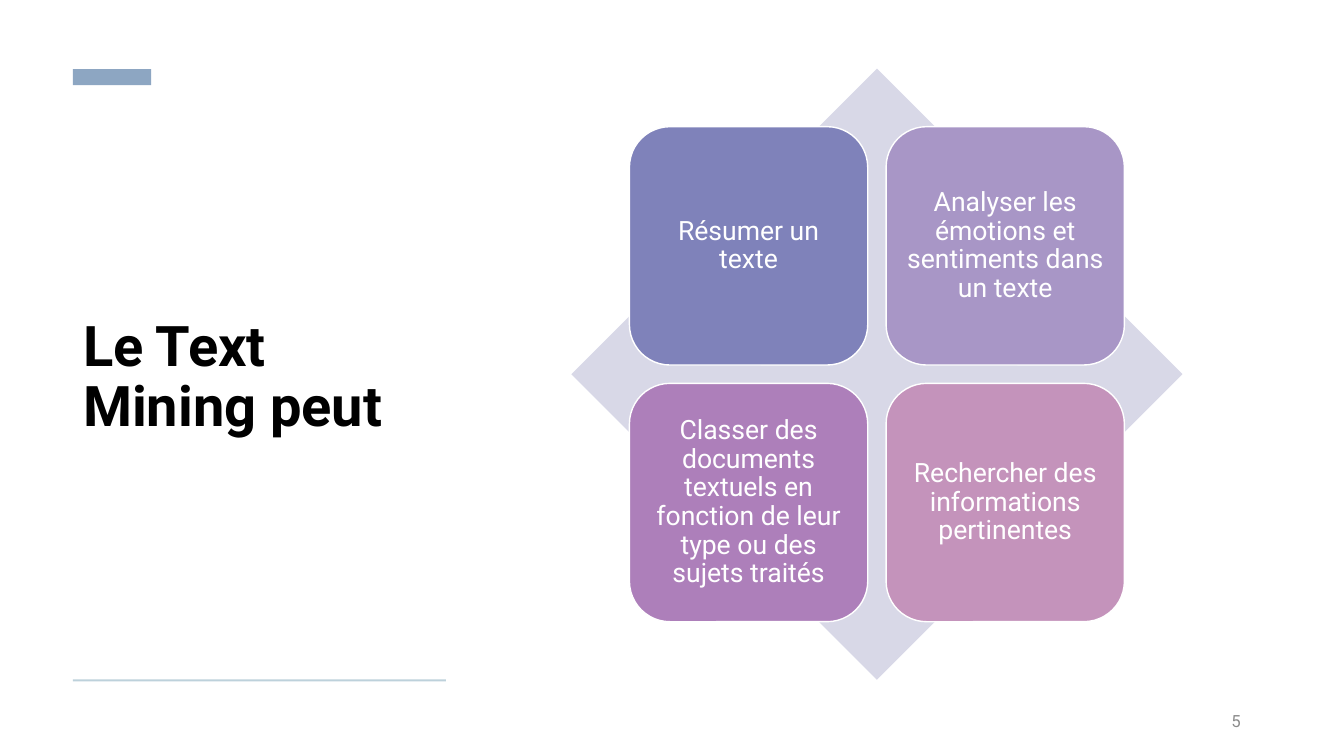
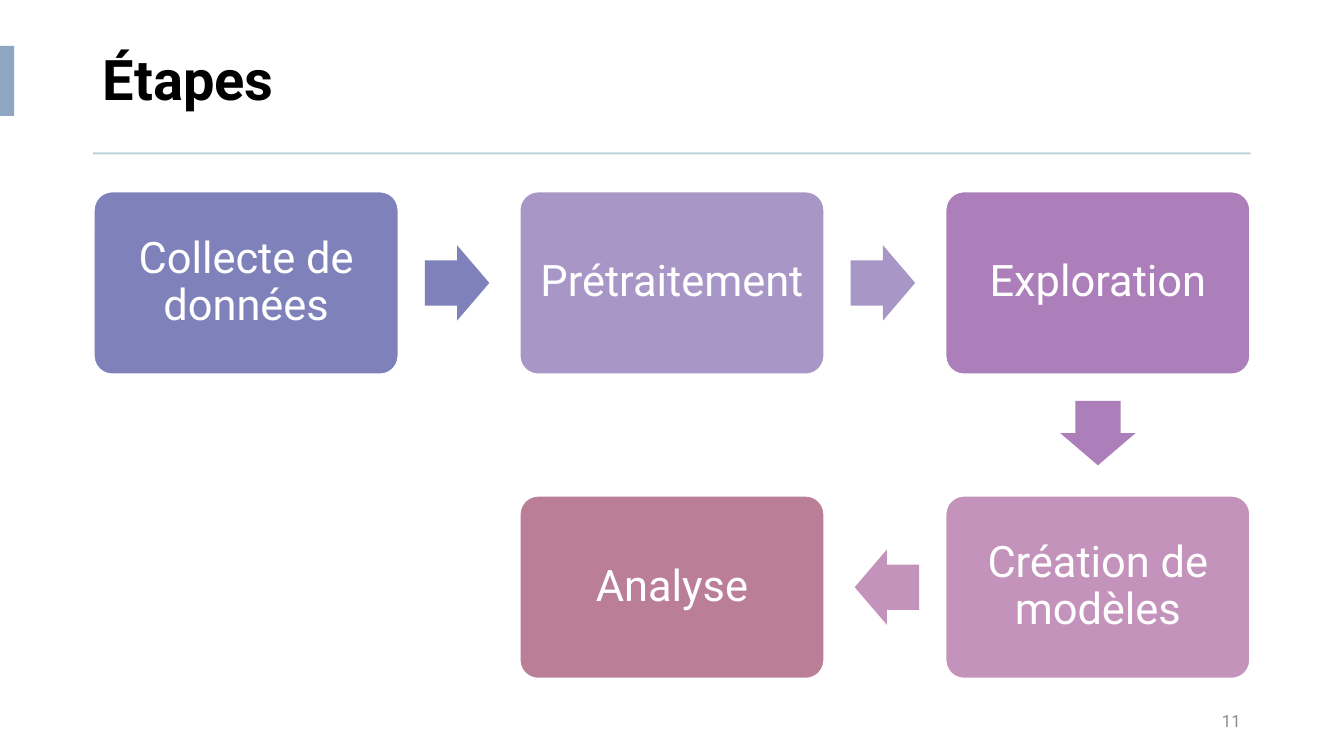
import math

import pptx
import pptx.dml.color
import pptx.enum.shapes
import pptx.enum.text
import pptx.util

Cm, Pt = pptx.util.Cm, pptx.util.Pt
SHAPE = pptx.enum.shapes.MSO_SHAPE
ALIGN = pptx.enum.text.PP_ALIGN
MIDDLE = pptx.enum.text.MSO_ANCHOR.MIDDLE

FONT = "Roboto"
BLACK, WHITE, GREY = "000000", "FFFFFF", "8C8C8C"
ACCENT, RULE = "8DA6C2", "BDD1DB"
TILE_COLORS = ["7F82BA", "A896C6", "AD7FBA", "C493BB", "BA7F96"]
RULE_HEIGHT = 0.05


def rgb(color):
    return pptx.dml.color.RGBColor.from_string(color)


def cm_box(box):
    return [Cm(v) for v in box]


def add_block(slide, kind, box, fill, line=None):
    sp = slide.shapes.add_shape(kind, *cm_box(box))
    sp.shadow.inherit = False
    sp.fill.solid()
    sp.fill.fore_color.rgb = rgb(fill)
    if line:
        sp.line.color.rgb = rgb(line)
        sp.line.width = Pt(1)
    else:
        sp.line.fill.background()
    return sp


def write(sp, text, size, color, align, bold=False, spacing=0.9):
    tf = sp.text_frame
    tf.word_wrap = True
    tf.auto_size = pptx.enum.text.MSO_AUTO_SIZE.NONE
    tf.vertical_anchor = MIDDLE
    p = tf.paragraphs[0]
    p.text = text
    p.alignment = align
    p.line_spacing = spacing
    p.font.name = FONT
    p.font.size = Pt(size)
    p.font.bold = bold
    p.font.color.rgb = rgb(color)


def add_page(prs, title, title_box, accent_box, rule_top, number):
    """Add a slide with its title, accent bar, rule and page number."""
    slide = prs.slides.add_slide(prs.slide_layouts[5])
    sp = slide.shapes.title
    left, top, width, height = title_box
    sp.left, sp.top, sp.width, sp.height = cm_box(title_box)
    write(sp, title, 40, BLACK, ALIGN.LEFT, bold=True)
    add_block(slide, SHAPE.RECTANGLE, accent_box, ACCENT)
    add_block(slide, SHAPE.RECTANGLE, (left, rule_top, width, RULE_HEIGHT), RULE)
    page = slide.shapes.add_textbox(*cm_box((24.61, 17.65, 6.91, 1.02)))
    write(page, number, 12, GREY, ALIGN.RIGHT, spacing=1)
    return slide


def add_tile(slide, box, text, color, size, inset, corner):
    sp = add_block(slide, SHAPE.ROUNDED_RECTANGLE, box, color, WHITE)
    sp.adjustments[0] = corner
    tf = sp.text_frame
    tf.margin_left = tf.margin_top = tf.margin_right = tf.margin_bottom = Cm(inset)
    write(sp, text, size, WHITE, ALIGN.CENTER)


def add_matrix(slide, left, top, side, texts):
    """Draw a diamond with a two-by-two grid of tiles over it."""
    add_block(slide, SHAPE.DIAMOND, (left, top, side, side), "D8D8E7")
    tile, pitch, margin = 0.39 * side, 0.42 * side, 0.095 * side
    for i, (text, color) in enumerate(zip(texts, TILE_COLORS)):
        row, col = divmod(i, 2)
        box = (left + margin + col * pitch, top + margin + row * pitch, tile, tile)
        add_tile(slide, box, text, color, 19, 0.2, 0.17)


def add_arrow(slide, start, end, length, color):
    """Draw a block arrow between two tile centres, slightly nearer the first."""
    dx, dy = end[0] - start[0], end[1] - start[1]
    distance = math.hypot(dx, dy)
    share = 0.5 - 0.05 / distance
    x, y = start[0] + dx * share, start[1] + dy * share
    thickness = 1.17 * length
    box = (x - length / 2, y - thickness / 2, length, thickness)
    sp = add_block(slide, SHAPE.RIGHT_ARROW, box, color)
    sp.adjustments[0], sp.adjustments[1] = 0.6, 0.5
    sp.rotation = math.degrees(math.atan2(dy, dx)) % 360


def add_snake(slide, left, top, width, columns, steps):
    """Draw steps in rows that run alternately right and left."""
    tile = width / (1.4 * columns - 0.4)
    height = 0.6 * tile
    centres = []
    for i, (text, color) in enumerate(zip(steps, TILE_COLORS)):
        row, col = divmod(i, columns)
        if row % 2:
            col = columns - 1 - col
        x, y = left + col * 1.4 * tile, top + row * tile
        add_tile(slide, (x, y, tile, height), text, color, 31, 0.33, 0.1)
        centres.append((x + tile / 2, y + height / 2))
    for start, end, color in zip(centres, centres[1:], TILE_COLORS):
        add_arrow(slide, start, end, 0.212 * tile, color)


def main():
    prs = pptx.Presentation()
    prs.slide_width, prs.slide_height = Cm(33.87), Cm(19.05)

    slide = add_page(prs, "Le Text Mining peut", (1.84, 2.67, 9.4, 13.74),
                     (1.84, 1.74, 1.97, 0.41), 17.12, "5")
    add_matrix(slide, 14.4, 1.73, 15.4, [
        "Résumer un texte",
        "Analyser les émotions et sentiments dans un texte",
        "Classer des documents textuels en fonction de leur type ou des sujets traités",
        "Rechercher des informations pertinentes",
    ])

    slide = add_page(prs, "Étapes", (2.34, 0.69, 29.18, 2.79),
                     (0, 1.16, 0.36, 1.76), 3.84, "11")
    add_snake(slide, 2.37, 4.83, 29.13, 3, [
        "Collecte de données",
        "Prétraitement",
        "Exploration",
        "Création de modèles",
        "Analyse",
    ])

    prs.save("out.pptx")


if __name__ == "__main__":
    main()
